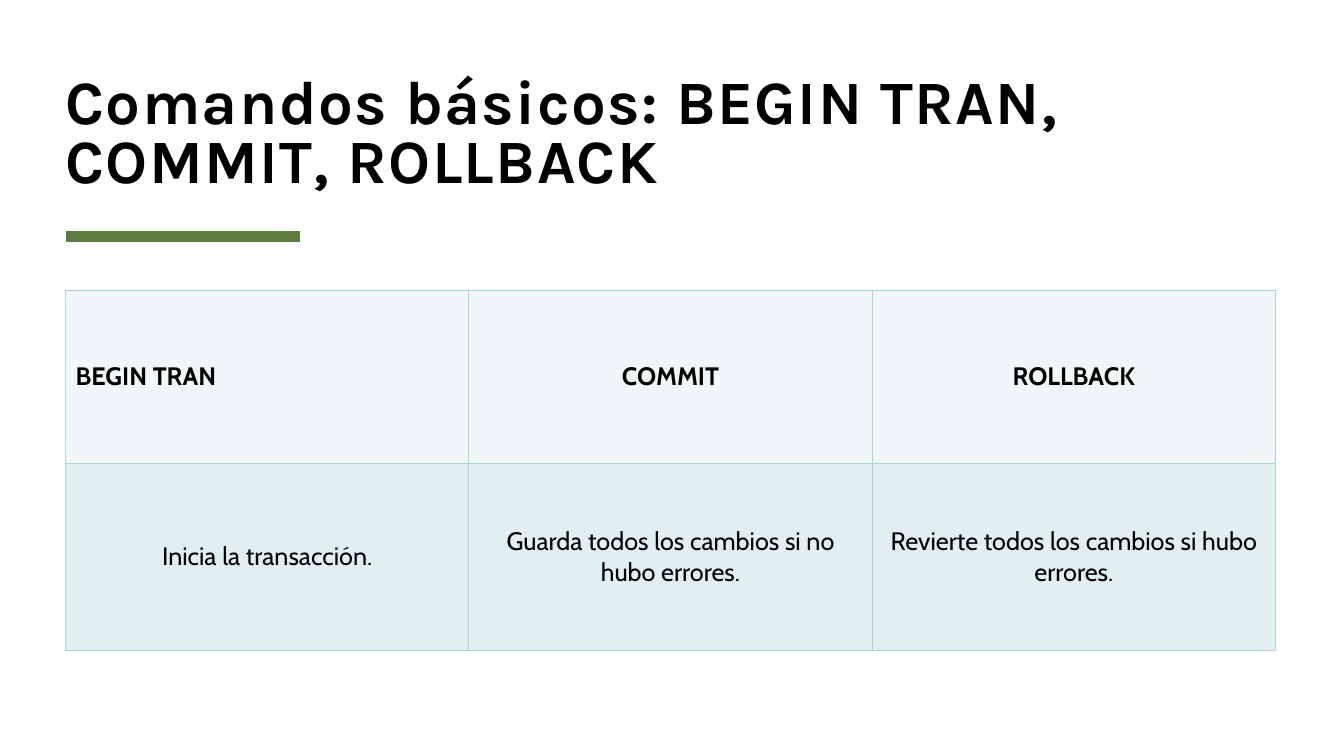
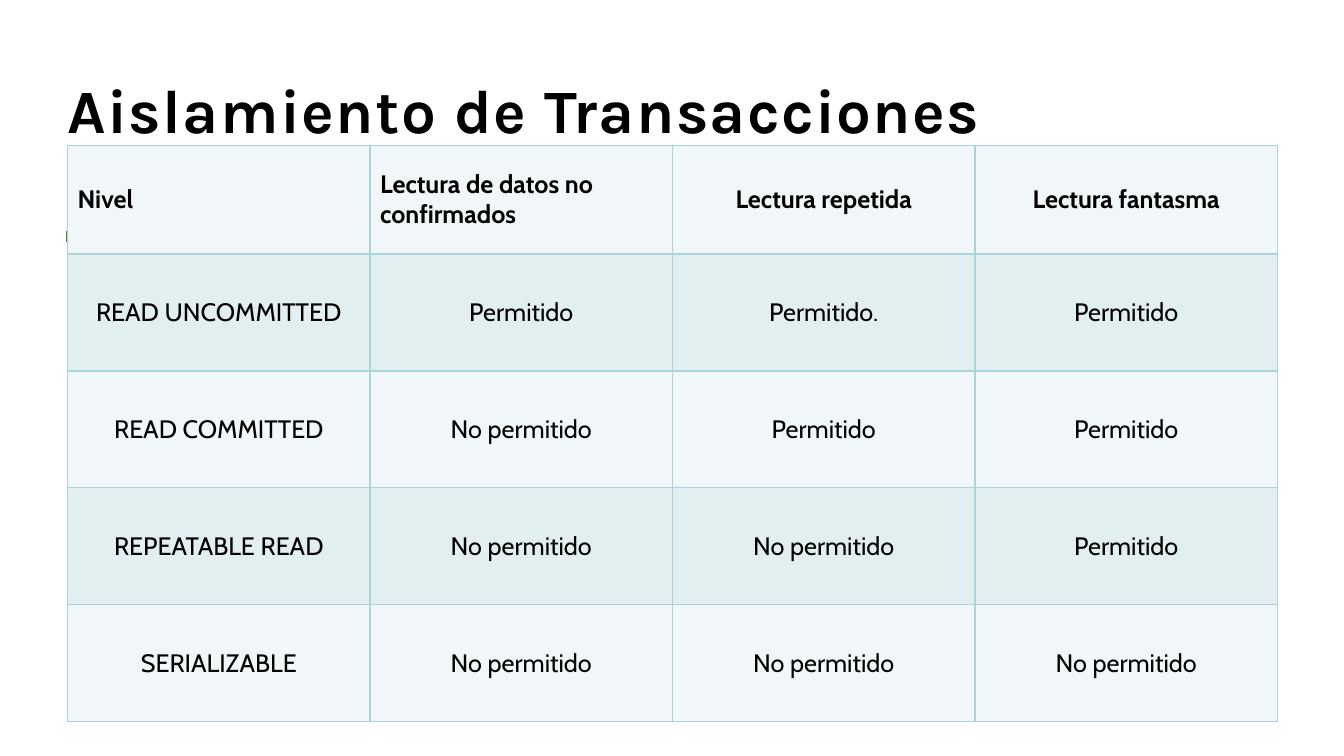
from lxml.etree import SubElement
from pptx import Presentation
from pptx.dml.color import RGBColor
from pptx.enum.shapes import MSO_CONNECTOR as Connector
from pptx.enum.text import MSO_ANCHOR as Anchor, PP_ALIGN as Align
from pptx.oxml.ns import qn
from pptx.util import Inches, Pt

# Palette and fonts
INK = RGBColor(0x00, 0x00, 0x00)
GREEN = RGBColor(0x5D, 0x7D, 0x40)
BORDER = RGBColor(0xA9, 0xD4, 0xDB)
BANDS = (RGBColor(0xF1, 0xF7, 0xF8), RGBColor(0xE2, 0xEF, 0xF1))
TITLE_FONT, BODY_FONT = "Karla", "Cabin"

# Grid: 12 columns inside the side margins, 75 rows down the slide
WIDTH, HEIGHT = Inches(13.33), Inches(7.5)
MARGIN = Inches(0.65)
COLUMNS = 12
COLUMN = Inches(1)
ROW = HEIGHT / 75


class Deck:
    """Holds the shared style and the slide being built."""

    def __init__(self):
        self.prs = Presentation()
        self.prs.slide_width, self.prs.slide_height = WIDTH, HEIGHT
        self.slide = None

    @staticmethod
    def x(column):
        return round(MARGIN + column * COLUMN)

    @staticmethod
    def y(row):
        return round(row * ROW)

    @staticmethod
    def style(paragraph, font_name, size, bold):
        for run in paragraph.runs:
            font = run.font
            font.name, font.size, font.bold = font_name, Pt(size), bold
            font.color.rgb = INK

    def new_slide(self):
        self.slide = self.prs.slides.add_slide(self.prs.slide_layouts[6])
        self.accent_rule()

    def accent_rule(self):
        rule = self.slide.shapes.add_connector(
            Connector.STRAIGHT, self.x(0), self.y(23.5), self.x(2.33), self.y(23.5))
        rule.line.color.rgb = GREEN
        rule.line.width = Pt(8)
        SubElement(rule.element.spPr, qn("a:effectLst"))

    def title(self, text, row, column=0):
        heading = self.slide.shapes.add_textbox(
            self.x(column), self.y(row), COLUMNS * COLUMN, self.y(13))
        frame = heading.text_frame
        frame.word_wrap = True
        frame.vertical_anchor = Anchor.BOTTOM
        frame.margin_left = frame.margin_right = 0
        frame.margin_top = frame.margin_bottom = 0
        frame.text = text
        paragraph = frame.paragraphs[0]
        paragraph.line_spacing = 0.8
        self.style(paragraph, TITLE_FONT, 44, True)
        for run in paragraph.runs:
            run.font._element.set("spc", "100")

    def table(self, content, row, heights, column=0, left_headers=1):
        """Equal columns; the first left_headers headings are left aligned."""
        count = len(content[0])
        grid = self.slide.shapes.add_table(
            len(content), count, self.x(column), self.y(row),
            COLUMNS * COLUMN, self.y(sum(heights))).table
        grid.first_row = grid.horz_banding = False
        for grid_column in grid.columns:
            grid_column.width = COLUMNS * COLUMN // count
        for r, (texts, height) in enumerate(zip(content, heights)):
            grid.rows[r].height = self.y(height)
            for c, text in enumerate(texts):
                is_header = r == 0
                align = Align.LEFT if is_header and c < left_headers else Align.CENTER
                self.cell(grid.cell(r, c), text, BANDS[r % 2], align, is_header)

    def cell(self, cell, text, fill, align, bold):
        cell.text_frame.text = text
        cell.vertical_anchor = Anchor.MIDDLE
        paragraph = cell.text_frame.paragraphs[0]
        paragraph.alignment = align
        self.style(paragraph, BODY_FONT, 18, bold)
        # Borders come before the fill in the cell properties
        properties = cell._tc.get_or_add_tcPr()
        for side in ("lnL", "lnR", "lnT", "lnB"):
            edge = SubElement(properties, qn(f"a:{side}"), w=str(Pt(1)))
            solid = SubElement(edge, qn("a:solidFill"))
            SubElement(solid, qn("a:srgbClr"), val=str(BORDER))
        cell.fill.solid()
        cell.fill.fore_color.rgb = fill


def main():
    deck = Deck()

    # Basic commands
    deck.new_slide()
    deck.title("Comandos básicos: BEGIN TRAN, COMMIT, ROLLBACK", row=6.4)
    commands = [
        ("BEGIN TRAN", "COMMIT", "ROLLBACK"),
        ("Inicia la transacción.",
         "Guarda todos los cambios si no hubo errores.",
         "Revierte todos los cambios si hubo errores."),
    ]
    deck.table(commands, row=28.8, heights=[17.2, 18.5])

    # Isolation levels
    deck.new_slide()
    inset = 0.02
    deck.title("Aislamiento de Transacciones", row=1.4, column=inset)
    levels = [
        ("Nivel", "Lectura de datos no confirmados", "Lectura repetida", "Lectura fantasma"),
        ("READ UNCOMMITTED", "Permitido", "Permitido.", "Permitido"),
        ("READ COMMITTED", "No permitido", "Permitido", "Permitido"),
        ("REPEATABLE READ", "No permitido", "No permitido", "Permitido"),
        ("SERIALIZABLE", "No permitido", "No permitido", "No permitido"),
    ]
    deck.table(levels, row=14.4, heights=[10.8] + [11.6] * 4,
               column=inset, left_headers=2)

    deck.prs.save("out.pptx")


if __name__ == "__main__":
    main()
